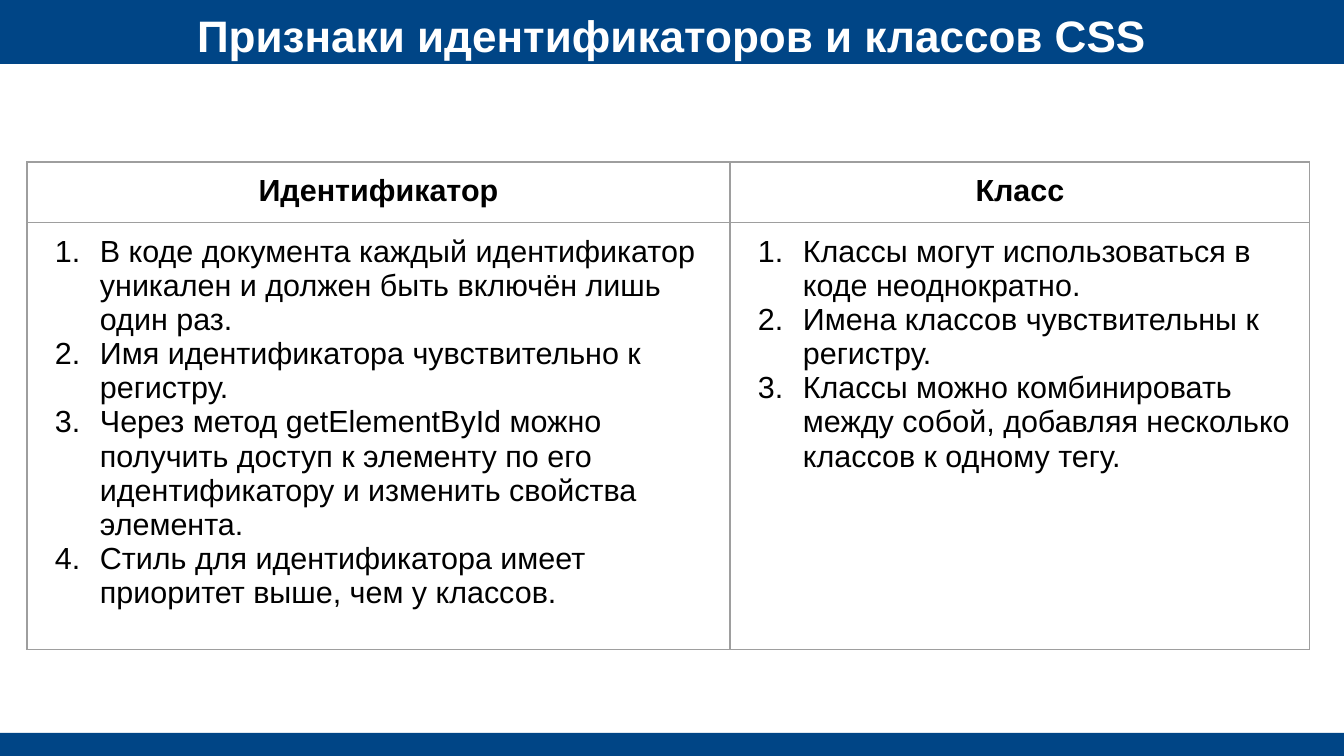
from lxml import etree
from pptx import Presentation
from pptx.dml.color import RGBColor
from pptx.enum.shapes import MSO_SHAPE
from pptx.enum.text import MSO_ANCHOR, PP_ALIGN
from pptx.oxml.ns import qn
from pptx.util import Emu, Pt

TITLE = "Признаки идентификаторов и классов CSS"
COLUMNS = [
    ("Идентификатор", 703, [
        "В коде документа каждый идентификатор уникален и должен быть включён лишь один раз.",
        "Имя идентификатора чувствительно к регистру.",
        "Через метод getElementById можно получить доступ к элементу по его "
        "идентификатору и изменить свойства элемента.",
        "Стиль для идентификатора имеет приоритет выше, чем у классов.",
    ]),
    ("Класс", 580, [
        "Классы могут использоваться в коде неоднократно.",
        "Имена классов чувствительны к регистру.",
        "Классы можно комбинировать между собой, добавляя несколько классов к одному тегу.",
    ]),
]

# Lengths in px, 122 to the inch
SLIDE_WIDTH, SLIDE_HEIGHT = 1344, 756
HEADER_HEIGHT, FOOTER_HEIGHT = 64, 23
TITLE_BOX = (67, 8, 1210, 54)
TABLE_LEFT, TABLE_TOP = 27, 162
ROW_HEIGHTS = (58, 400)
CELL_MARGIN = 12
LIST_INDENT, NUMBER_HANG = 61, 45

FONT = "Arial"
BLUE = RGBColor(0x00, 0x45, 0x86)
WHITE = RGBColor(0xFF, 0xFF, 0xFF)
BLACK = RGBColor(0x00, 0x00, 0x00)
GRAY = RGBColor(0x9E, 0x9E, 0x9E)
BORDER_WIDTH = Pt(0.75)

RECTANGLE = MSO_SHAPE.RECTANGLE
MIDDLE = MSO_ANCHOR.MIDDLE
TOP = MSO_ANCHOR.TOP
CENTER = PP_ALIGN.CENTER
LEFT = PP_ALIGN.LEFT


def px(length):
    return Emu(round(length * 914400 / 122))


def add_band(slide, top, height):
    band = slide.shapes.add_shape(RECTANGLE, 0, px(top), px(SLIDE_WIDTH), px(height))
    band.shadow.inherit = False
    band.fill.solid()
    band.fill.fore_color.rgb = BLUE
    band.line.fill.background()


def set_margins(frame, margin):
    frame.margin_left = frame.margin_right = margin
    frame.margin_top = frame.margin_bottom = margin


def write(para, text, size, color, bold, align):
    para.text = text
    para.alignment = align
    for span in para.runs:
        span.font.name = FONT
        span.font.size = Pt(size)
        span.font.bold = bold
        span.font.color.rgb = color


def add_number(para):
    """Turn the paragraph into an item of a numbered list."""
    properties = para._p.get_or_add_pPr()
    properties.set("marL", str(px(LIST_INDENT)))
    properties.set("indent", str(-px(NUMBER_HANG)))
    color = etree.SubElement(properties, qn("a:buClr"))
    etree.SubElement(color, qn("a:srgbClr"), val=str(BLACK))
    etree.SubElement(properties, qn("a:buFont"), typeface=FONT)
    etree.SubElement(properties, qn("a:buAutoNum"), type="arabicPeriod")


def add_borders(cell):
    properties = cell._tc.get_or_add_tcPr()
    for index, side in enumerate(("a:lnL", "a:lnR", "a:lnT", "a:lnB")):
        line = etree.Element(qn(side), w=str(BORDER_WIDTH))
        fill = etree.SubElement(line, qn("a:solidFill"))
        etree.SubElement(fill, qn("a:srgbClr"), val=str(GRAY))
        properties.insert(index, line)


def fill_cell(cell, lines, is_heading):
    set_margins(cell, px(CELL_MARGIN))
    cell.vertical_anchor = TOP
    cell.fill.background()
    add_borders(cell)
    frame = cell.text_frame
    for index, text in enumerate(lines):
        para = frame.add_paragraph() if index else frame.paragraphs[0]
        if not is_heading:
            add_number(para)
        write(para, text, 18, BLACK, is_heading, CENTER if is_heading else LEFT)


def add_title(slide):
    box = slide.shapes.add_textbox(*map(px, TITLE_BOX))
    frame = box.text_frame
    frame.word_wrap = True
    frame.vertical_anchor = MIDDLE
    set_margins(frame, 0)
    write(frame.paragraphs[0], TITLE, 26, WHITE, True, CENTER)


def add_comparison(slide):
    width = sum(column_width for _, column_width, _ in COLUMNS)
    table = slide.shapes.add_table(
        len(ROW_HEIGHTS), len(COLUMNS), px(TABLE_LEFT), px(TABLE_TOP),
        px(width), px(sum(ROW_HEIGHTS))).table
    table.first_row = table.horz_banding = False
    for row, height in zip(table.rows, ROW_HEIGHTS):
        row.height = px(height)
    for index, (heading, column_width, items) in enumerate(COLUMNS):
        table.columns[index].width = px(column_width)
        fill_cell(table.cell(0, index), [heading], True)
        fill_cell(table.cell(1, index), items, False)


def main():
    deck = Presentation()
    deck.slide_width, deck.slide_height = px(SLIDE_WIDTH), px(SLIDE_HEIGHT)
    slide = deck.slides.add_slide(deck.slide_layouts[6])
    add_band(slide, 0, HEADER_HEIGHT)
    add_band(slide, SLIDE_HEIGHT - FOOTER_HEIGHT, FOOTER_HEIGHT)
    add_title(slide)
    add_comparison(slide)
    deck.save("out.pptx")


if __name__ == "__main__":
    main()
